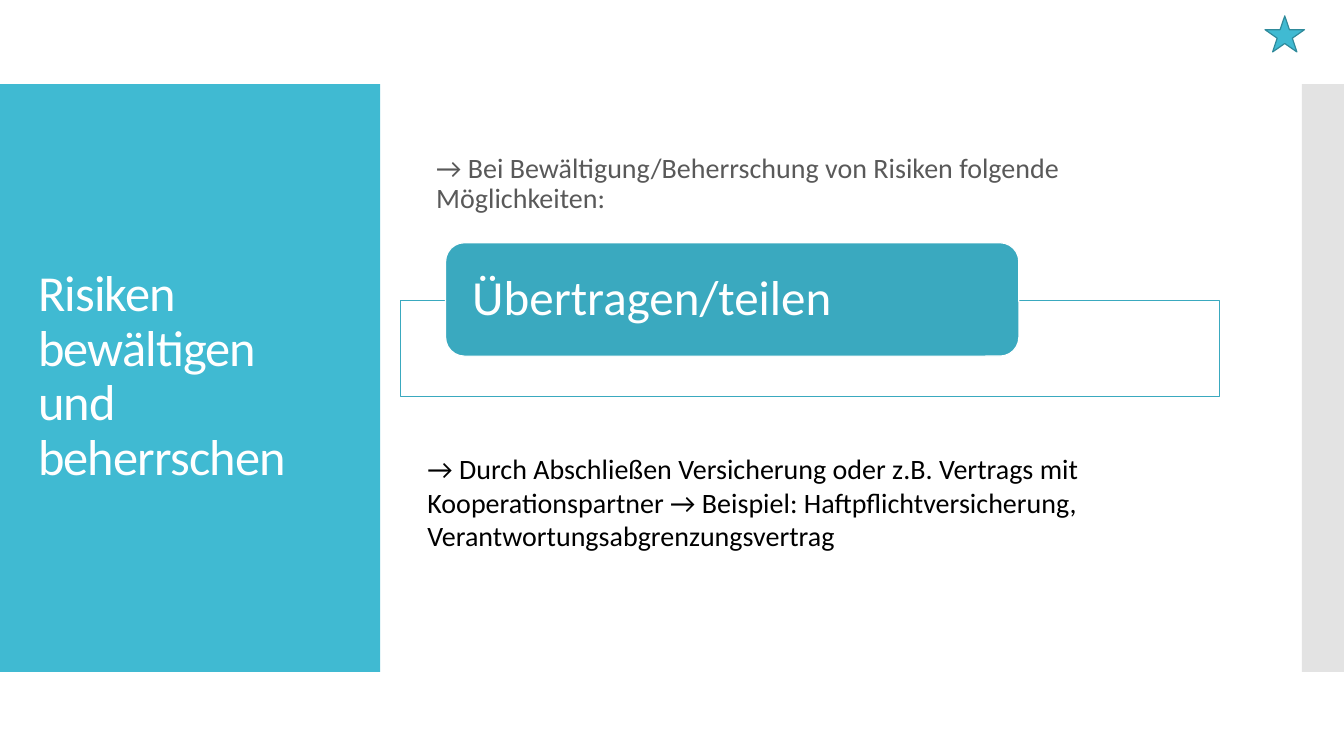
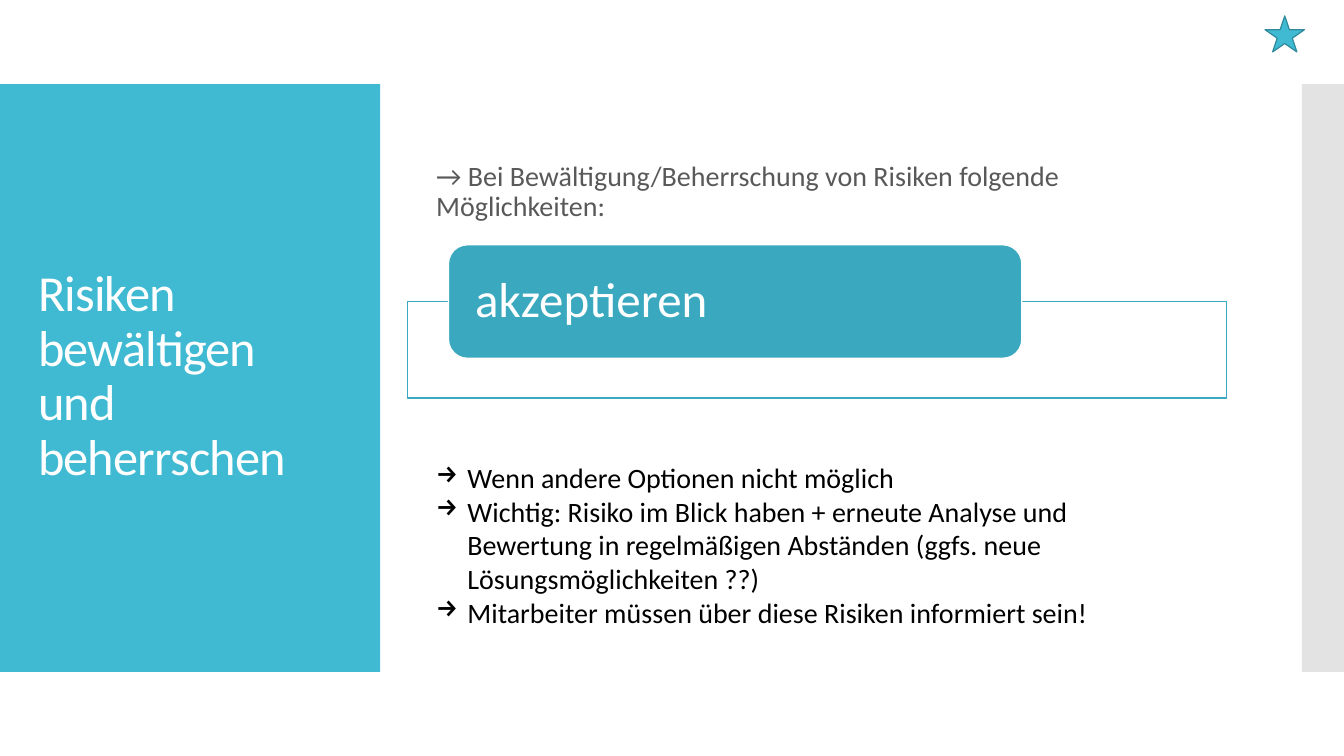
from dataclasses import dataclass

from lxml.etree import SubElement
from pptx import Presentation
from pptx.dml.color import RGBColor
from pptx.enum.shapes import MSO_SHAPE
from pptx.enum.text import MSO_ANCHOR, PP_ALIGN
from pptx.oxml.ns import qn
from pptx.util import Inches, Pt


@dataclass(frozen=True)
class Theme:
    # Colours
    band: str = "40BAD2"
    edge: str = "2F8A9B"
    pill: str = "3AA9BF"
    side: str = "C8C8C8"
    white: str = "FFFFFF"
    grey: str = "595959"
    black: str = "000000"
    # Type and lines, in points
    font: str = "Calibri"
    head: int = 36
    label: int = 35
    body: int = 20
    line: float = 0.85
    tight: float = 0.9


# Square grid cells
COLS, ROWS = 32, 18
WIDE, HIGH = Inches(40 / 3), Inches(7.5)


class Deck:
    def __init__(self, theme):
        self.theme = theme
        self.file = Presentation()
        self.file.slide_width, self.file.slide_height = WIDE, HIGH
        self.slide = None

    def place(self, x, y, w, h):
        """Turn columns and rows into slide lengths."""
        col, row = WIDE / COLS, HIGH / ROWS
        return [round(n) for n in (x * col, y * row, w * col, h * row)]

    def shape(self, kind, area, fill, line=None, alpha=None):
        item = self.slide.shapes.add_shape(kind, *self.place(*area))
        item.shadow.inherit = False
        item.fill.solid()
        item.fill.fore_color.rgb = RGBColor.from_string(fill)
        if alpha is not None:
            tint = item._element.spPr.find(".//" + qn("a:srgbClr"))
            SubElement(tint, qn("a:alpha"), val=str(alpha * 1000))
        if line:
            item.line.color.rgb = RGBColor.from_string(line)
            item.line.width = Pt(self.theme.line)
        else:
            item.line.fill.background()
        return item

    def fill_text(self, frame, texts, size, color, space=None, track=None,
                  bullet=None):
        frame.word_wrap = True
        for i, text in enumerate(texts):
            para = frame.add_paragraph() if i else frame.paragraphs[0]
            if bullet:
                props = para._p.get_or_add_pPr()
                hang = Inches(0.31)
                props.set("marL", str(hang))
                props.set("indent", str(-hang))
                SubElement(props, qn("a:buChar"), char=bullet)
            para.alignment = PP_ALIGN.LEFT
            if space:
                para.line_spacing = space
            run = para.add_run()
            run.text = text
            run.font.name = self.theme.font
            run.font.size = Pt(size)
            run.font.color.rgb = RGBColor.from_string(color)
            if track:
                run._r.get_or_add_rPr().set("spc", str(round(track * 100)))

    def text(self, area, texts, size, color, anchor=MSO_ANCHOR.TOP, **style):
        box = self.slide.shapes.add_textbox(*self.place(*area))
        box.text_frame.vertical_anchor = anchor
        self.fill_text(box.text_frame, texts, size, color, **style)

    def start(self, title):
        """Add a slide with its bands, title and star."""
        t = self.theme
        self.slide = self.file.slides.add_slide(self.file.slide_layouts[6])
        self.shape(MSO_SHAPE.RECTANGLE, (0, 2, 9.05, 14), t.band)
        self.shape(MSO_SHAPE.RECTANGLE, (31, 2, 1, 14), t.side, alpha=50)
        self.text((0.67, 2.95, 7.73, 12.07), [title], t.head, t.white,
                  MSO_ANCHOR.MIDDLE, space=t.tight, track=-0.6)
        self.shape(MSO_SHAPE.STAR_5_POINT, (30.12, 0.38, 0.94, 0.86),
                   t.band, t.edge)

    def intro(self, text, high):
        t = self.theme
        self.text((10.15, 2.26, 19.2, high), [text], t.body, t.grey,
                  MSO_ANCHOR.MIDDLE, space=t.tight)

    def option(self, text, frame, pill):
        """Draw a labelled pill over an outlined frame."""
        t = self.theme
        self.shape(MSO_SHAPE.RECTANGLE, (*frame, 19.51, 2.3), t.white,
                   t.pill, alpha=90)
        item = self.shape(MSO_SHAPE.ROUNDED_RECTANGLE, (*pill, 13.65, 2.7),
                          t.pill, t.white)
        body = item.text_frame
        body.vertical_anchor = MSO_ANCHOR.MIDDLE
        body.margin_left = body.margin_right = Inches(0.21)
        body.margin_top = body.margin_bottom = 0
        self.fill_text(body, [text], t.label, t.white, space=t.tight)

    def notes(self, area, texts, bullet=None):
        self.text(area, texts, self.theme.body, self.theme.black,
                  bullet=bullet)


TITLE = "Risiken bewältigen und beherrschen"
INTRO = "→ Bei Bewältigung/Beherrschung von Risiken folgende Möglichkeiten:"


def main():
    deck = Deck(Theme())

    # Transfer or share
    deck.start(TITLE)
    deck.intro(INTRO, 4.25)
    deck.option("Übertragen/teilen", (9.53, 7.15), (10.61, 5.78))
    deck.notes((9.94, 10.63, 19.1, 2.67), [
        "→ Durch Abschließen Versicherung oder z.B. Vertrags mit "
        "Kooperationspartner → Beispiel: Haftpflichtversicherung, "
        "Verantwortungsabgrenzungsvertrag"])

    # Accept
    deck.start(TITLE)
    deck.intro(INTRO, 4.63)
    deck.option("akzeptieren", (9.7, 7.18), (10.68, 5.83))
    deck.notes((10.15, 10.85, 17.45, 5.02), [
        "Wenn andere Optionen nicht möglich",
        "Wichtig: Risiko im Blick haben + erneute Analyse und Bewertung in "
        "regelmäßigen Abständen (ggfs. neue Lösungsmöglichkeiten ??)",
        "Mitarbeiter müssen über diese Risiken informiert sein!"],
        bullet="→")

    deck.file.save("out.pptx")


if __name__ == "__main__":
    main()
